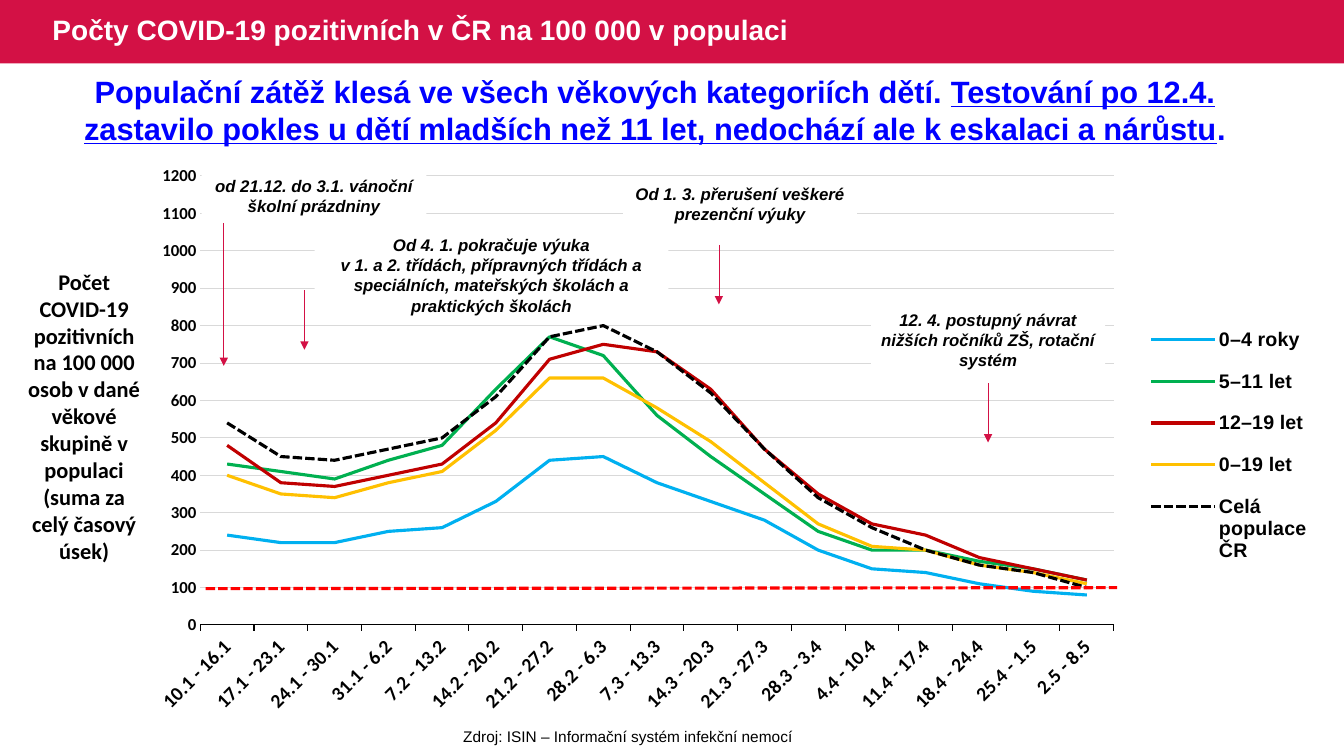
from lxml import etree
from pptx import Presentation
from pptx.chart.data import CategoryChartData
from pptx.dml.color import RGBColor
from pptx.enum.chart import XL_CHART_TYPE as ChartType, XL_LEGEND_POSITION as LegendPosition, XL_TICK_MARK as TickMark
from pptx.enum.dml import MSO_LINE_DASH_STYLE as Dash
from pptx.enum.shapes import MSO_CONNECTOR as Connector, MSO_SHAPE as Shape
from pptx.enum.text import MSO_ANCHOR as Anchor, PP_ALIGN as Align
from pptx.oxml import parse_xml
from pptx.oxml.ns import nsdecls, qn
from pptx.util import Inches, Pt

COLORS = {
    "band": "D31145", "white": "FFFFFF", "black": "000000", "headline": "0000FF",
    "limit": "FF0000", "grid": "D9D9D9", "sky": "00B0F0", "green": "00B050",
    "dark red": "C00000", "amber": "FFC000",
}
WEEKS = [
    "10.1 - 16.1", "17.1 - 23.1", "24.1 - 30.1", "31.1 - 6.2", "7.2 - 13.2", "14.2 - 20.2",
    "21.2 - 27.2", "28.2 - 6.3", "7.3 - 13.3", "14.3 - 20.3", "21.3 - 27.3", "28.3 - 3.4",
    "4.4 - 10.4", "11.4 - 17.4", "18.4 - 24.4", "25.4 - 1.5", "2.5 - 8.5",
]
AGE_GROUPS = [
    ("0–4 roky", "sky", None,
     [240, 220, 220, 250, 260, 330, 440, 450, 380, 330, 280, 200, 150, 140, 110, 90, 80]),
    ("5–11 let", "green", None,
     [430, 410, 390, 440, 480, 630, 770, 720, 560, 450, 350, 250, 200, 200, 170, 150, 120]),
    ("12–19 let", "dark red", None,
     [480, 380, 370, 400, 430, 540, 710, 750, 730, 630, 470, 350, 270, 240, 180, 150, 120]),
    ("0–19 let", "amber", None,
     [400, 350, 340, 380, 410, 520, 660, 660, 580, 490, 380, 270, 210, 200, 160, 140, 110]),
    ("Celá populace ČR", "black", Dash.SQUARE_DOT,
     [540, 450, 440, 470, 500, 610, 770, 800, 730, 620, 470, 340, 260, 200, 160, 140, 100]),
]
EVENTS = [
    ((2, 1.69, 2.23, 0.5), ["od 21.12. do 3.1. vánoční školní prázdniny"]),
    ((6.18, 1.77, 2.32, 0.5), ["Od 1. 3. přerušení veškeré prezenční výuky"]),
    ((3.12, 2.28, 3.51, 0.91), [
        "Od 4. 1. pokračuje výuka",
        "v 1. a 2. třídách, přípravných třídách a speciálních, mateřských školách a praktických školách",
    ]),
    ((8.64, 3.02, 2.32, 0.71), ["12. 4. postupný návrat nižších ročníků ZŠ, rotační systém"]),
]
EVENT_ARROWS = [(2.22, 2.21, 3.63), (3.02, 2.88, 3.47), (7.13, 2.43, 3.02), (9.8, 3.8, 4.39)]


def color(name):
    return RGBColor.from_string(COLORS[name])


def format_font(font, size, fill="black", name="Arial", bold=True, italic=None, underline=None):
    font.size = Pt(size)
    font.name = name
    font.bold = bold
    font.italic = italic
    font.underline = underline
    font.color.rgb = color(fill)


def write(paragraph, text, align=Align.CENTER, **font_format):
    paragraph.alignment = align
    run = paragraph.add_run()
    run.text = text
    format_font(run.font, **font_format)


def set_layout(parent, index, target, **fractions):
    for old in parent.findall(qn("c:layout")):
        parent.remove(old)
    layout = etree.SubElement(parent, qn("c:layout"))
    manual = etree.SubElement(layout, qn("c:manualLayout"))
    if target:
        etree.SubElement(manual, qn("c:layoutTarget")).set("val", target)
    for mode in ("xMode", "yMode"):
        etree.SubElement(manual, qn(f"c:{mode}")).set("val", "edge")
    for key, value in fractions.items():
        etree.SubElement(manual, qn(f"c:{key}")).set("val", str(value))
    parent.insert(index, layout)


class SlideBuilder:
    def __init__(self, presentation):
        self.slide = presentation.slides.add_slide(presentation.slide_layouts[5])
        self.shapes = self.slide.shapes

    def rectangle(self, box, fill):
        shape = self.shapes.add_shape(Shape.RECTANGLE, *map(Inches, box))
        shape.shadow.inherit = False
        shape.fill.solid()
        shape.fill.fore_color.rgb = color(fill)
        shape.line.fill.background()
        return shape

    def title(self, box, text):
        title = self.shapes.title
        title.left, title.top, title.width, title.height = map(Inches, box)
        title.text_frame.vertical_anchor = Anchor.MIDDLE
        paragraph = title.text_frame.paragraphs[0]
        paragraph.line_spacing = 0.9
        write(paragraph, text, align=Align.LEFT, size=20, fill="white")

    def band(self, box, fill):
        shape = self.rectangle(box, fill)
        self.shapes.title._element.addprevious(shape._element)

    def text(self, box, runs, **font_format):
        frame = self.shapes.add_textbox(*map(Inches, box)).text_frame
        frame.word_wrap = True
        for text, underline in runs:
            write(frame.paragraphs[0], text, underline=underline, **font_format)

    def event(self, box, lines):
        frame = self.rectangle(box, "white").text_frame
        frame.word_wrap = True
        frame.vertical_anchor = Anchor.TOP
        for index, line in enumerate(lines):
            paragraph = frame.add_paragraph() if index else frame.paragraphs[0]
            write(paragraph, line, size=12, italic=True)

    def line(self, start, end, stroke, width, dash=None, arrow=False):
        connector = self.shapes.add_connector(Connector.STRAIGHT, *map(Inches, start + end))
        connector.line.color.rgb = color(stroke)
        connector.line.width = Pt(width)
        connector.line.dash_style = dash
        if arrow:
            tail = etree.SubElement(connector.line._get_or_add_ln(), qn("a:tailEnd"))
            tail.set("type", "triangle")
        connector._element.spPr.append(parse_xml(f"<a:effectLst {nsdecls('a')}/>"))

    def line_chart(self, box, categories, groups):
        data = CategoryChartData()
        data.categories = categories
        for name, _, _, values in groups:
            data.add_series(name, values)
        chart = self.shapes.add_chart(ChartType.LINE, *map(Inches, box), data).chart
        chart.has_title = False
        format_font(chart.font, 14)
        plot = chart.plots[0]
        plot.vary_by_categories = False
        for series, (_, stroke, dash, _) in zip(plot.series, groups):
            series.smooth = False
            series.format.line.color.rgb = color(stroke)
            series.format.line.width = Pt(2.25)
            series.format.line.dash_style = dash
        self.style_axes(chart)
        chart.has_legend = True
        chart.legend.position = LegendPosition.RIGHT
        chart.legend.include_in_layout = False
        format_font(chart.legend.font, 14)
        plot_area = chart._chartSpace.chart.plotArea
        set_layout(plot_area, 0, "inner", x=0.04, y=0.035, w=0.777, h=0.759)
        set_layout(chart.legend._element, 1, None, x=0.84, y=0.26, w=0.15, h=0.46)

    def style_axes(self, chart):
        weeks, counts = chart.category_axis, chart.value_axis
        format_font(weeks.tick_labels.font, 14, name="Calibri")
        weeks._element.find(qn("c:txPr")).find(qn("a:bodyPr")).set("rot", "-2700000")
        weeks.major_tick_mark = TickMark.OUTSIDE
        weeks.format.line.color.rgb = color("black")
        weeks.format.line.width = Pt(0.75)
        format_font(counts.tick_labels.font, 12, name="Calibri")
        counts.tick_labels.number_format = "###0"
        counts.tick_labels.number_format_is_linked = False
        counts.minimum_scale, counts.maximum_scale, counts.major_unit = 0, 1200, 100
        counts.major_tick_mark = TickMark.NONE
        counts.format.line.fill.background()
        counts.major_gridlines.format.line.color.rgb = color("grid")
        counts.major_gridlines.format.line.width = Pt(0.75)


def main():
    presentation = Presentation()
    presentation.slide_width, presentation.slide_height = Inches(13.33), Inches(7.5)
    builder = SlideBuilder(presentation)
    builder.band((0, 0, 13.33, 0.63), "band")
    builder.title((0.42, 0, 8.37, 0.63), "Počty COVID-19 pozitivních v ČR na 100 000 v populaci")
    builder.text((2.36, 7.16, 7.74, 0.29),
                 [("Zdroj: ISIN – Informační systém infekční nemocí", None)], size=11, bold=False)
    builder.line_chart((1.52, 1.54, 11.66, 5.87), WEEKS, AGE_GROUPS)
    builder.text((0.15, 2.61, 1.37, 3.06), [
        ("Počet COVID-19 pozitivních na 100 000 osob v dané věkové skupině "
         "v populaci (suma za celý časový úsek)", None),
    ], size=16, name="Calibri")
    for box, lines in EVENTS:
        builder.event(box, lines)
    for x, top, bottom in EVENT_ARROWS:
        builder.line((x, top), (x, bottom), "band", 0.5, arrow=True)
    builder.text((0.29, 0.67, 12.41, 0.84), [
        ("Populační zátěž klesá ve všech věkových kategoriích dětí. ", None),
        ("Testování po 12.4. zastavilo pokles u dětí mladších než 11 let, "
         "nedochází ale k eskalaci a nárůstu", True),
        (".", None),
    ], size=22, fill="headline")
    builder.line((2.04, 5.84), (11.08, 5.83), "limit", 2.25, dash=Dash.SQUARE_DOT)
    presentation.save("out.pptx")


if __name__ == "__main__":
    main()
